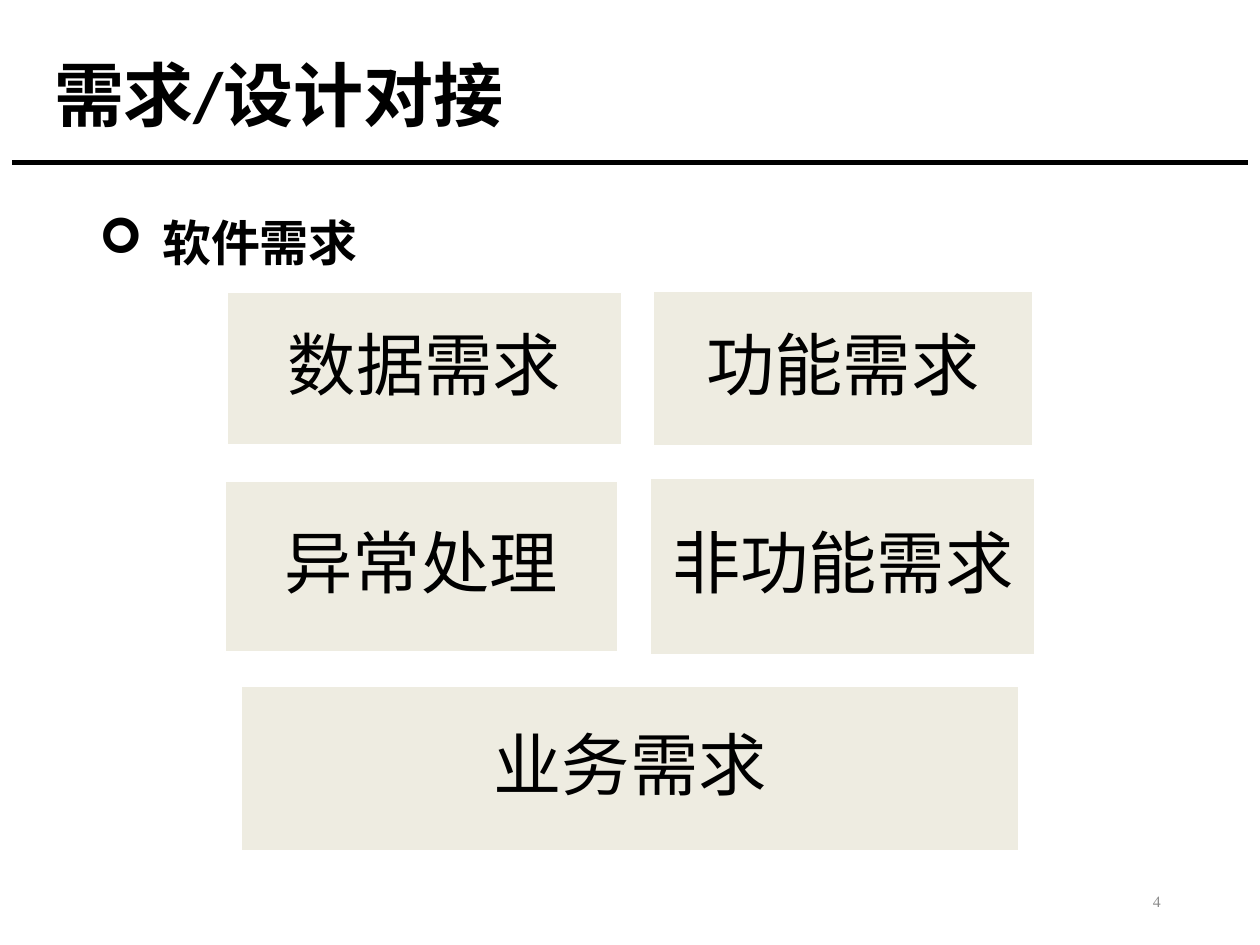
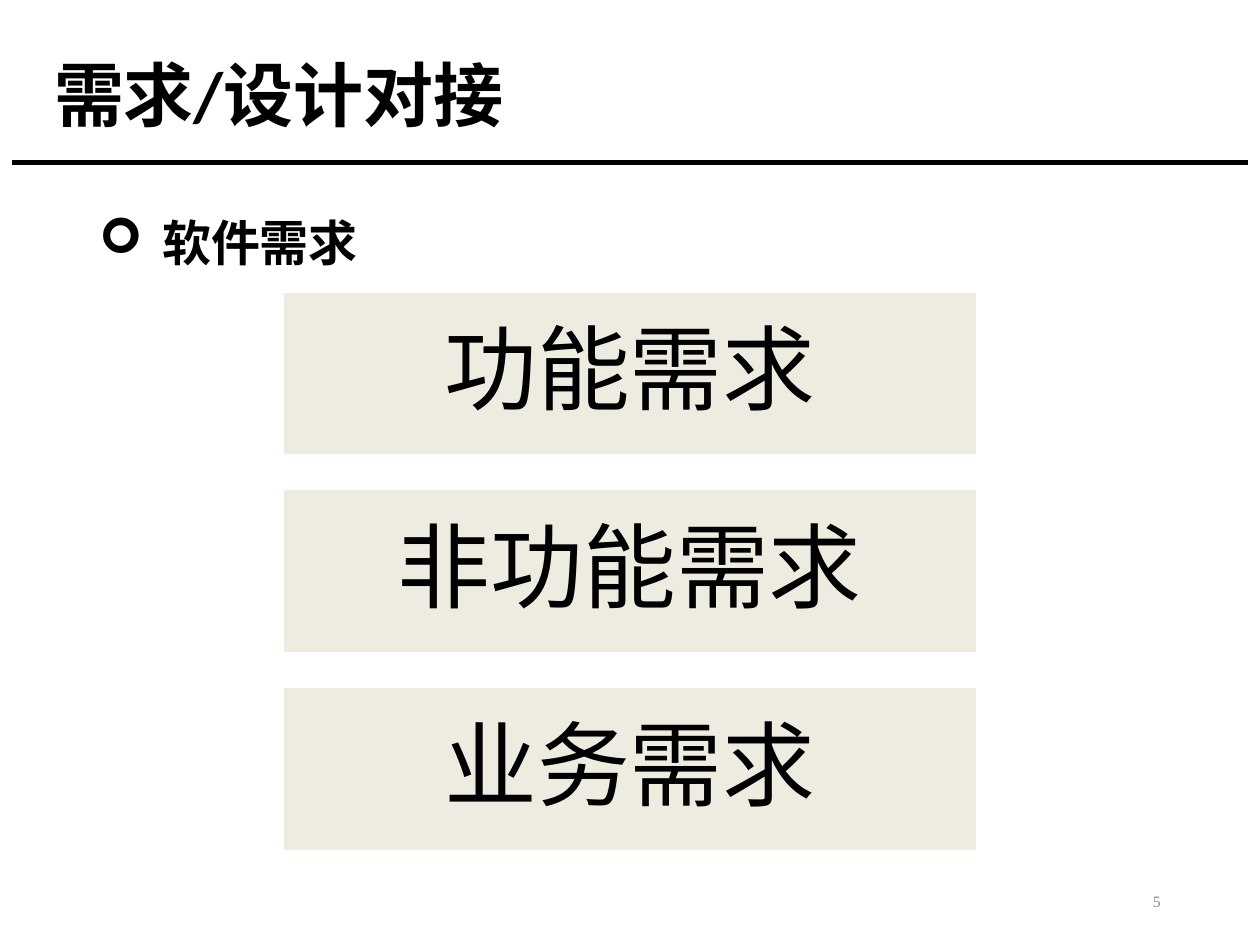
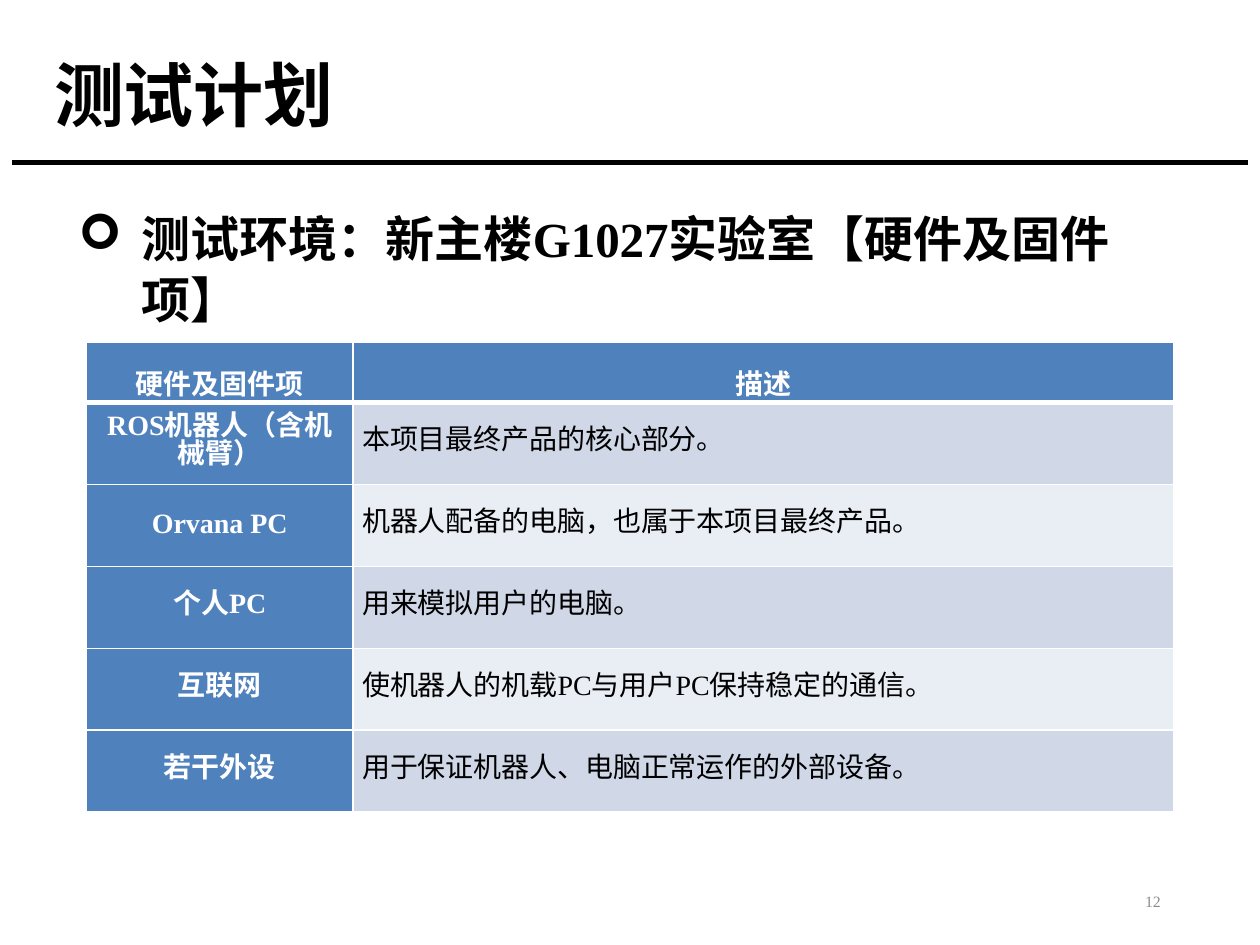
"""Builds three slides on software requirements and the test plan."""
import pptx
import pptx.dml.color
import pptx.enum.shapes
import pptx.enum.text
import pptx.oxml
import pptx.oxml.ns
import pptx.util
from pptx.util import Cm, Pt

ALIGN = pptx.enum.text.PP_ALIGN
MIDDLE = pptx.enum.text.MSO_ANCHOR.MIDDLE

BLACK, WHITE, GREY = "000000", "FFFFFF", "8C8C8C"
BOX_FILL, TABLE_BLUE = "EEECE1", "4F81BD"
BAND_FILLS = ("D0D8E8", "E9EDF4")
SERIF, TITLE_FONT, CHINESE = "Times New Roman", "Calibri", "Noto Sans CJK SC"

TITLE_AREA = (0.84, 0.64, 21.89, 2.69)
NUMBER_AREA = (17.93, 17.65, 5.72, 1.02)
RULE_LEFT, RULE_RIGHT, RULE_TOP = 0.25, 25.15, 3.28

STACK_LEFT, STACK_TOP, STACK_WIDTH, STACK_HEIGHT, STACK_PITCH = 5.7, 5.88, 14, 3.3, 3.99
STACK_LABELS = ["功能需求", "非功能需求", "业务需求"]

REQUIREMENT_SLIDES = [
    {
        "number": 4, "size": 39, "inset": 0.41,
        "boxes": [
            ("数据需求", (4.58, 5.9, 7.95, 3.07)),
            ("功能需求", (13.16, 5.87, 7.66, 3.13)),
            ("异常处理", (4.53, 9.7, 7.92, 3.45)),
            ("非功能需求", (13.11, 9.64, 7.76, 3.56)),
            ("业务需求", (4.86, 13.84, 15.69, 3.32)),
        ],
    },
    {
        "number": 5, "size": 53, "inset": 0.56,
        "boxes": [
            (label, (STACK_LEFT, STACK_TOP + index * STACK_PITCH, STACK_WIDTH, STACK_HEIGHT))
            for index, label in enumerate(STACK_LABELS)
        ],
    },
]

HARDWARE = [
    ("硬件及固件项", "描述"),
    ("ROS机器人（含机械臂）", "本项目最终产品的核心部分。"),
    ("Orvana PC", "机器人配备的电脑，也属于本项目最终产品。"),
    ("个人PC", "用来模拟用户的电脑。"),
    ("互联网", "使机器人的机载PC与用户PC保持稳定的通信。"),
    ("若干外设", "用于保证机器人、电脑正常运作的外部设备。"),
]
TABLE_LEFT, TABLE_TOP = 1.74, 6.9
COLUMN_WIDTHS = (5.38, 16.54)
HEADER_HEIGHT, ROW_HEIGHT = 1.22, 1.65


def rgb(value):
    return pptx.dml.color.RGBColor.from_string(value)


def lengths(area):
    return [Cm(length) for length in area]


def add_xml(parent, index, markup):
    name, rest = markup.split(" ", 1)
    element = pptx.oxml.parse_xml(f"<a:{name} {pptx.oxml.ns.nsdecls('a')} {rest}")
    parent.insert(index, element)


def write(frame, text, size, font, color=BLACK, bold=False, align=ALIGN.LEFT, spacing=None):
    frame.word_wrap = True
    paragraph = frame.paragraphs[0]
    paragraph.text = text
    paragraph.alignment = align
    paragraph.line_spacing = spacing
    paragraph.font.size = Pt(size)
    paragraph.font.name = font
    paragraph.font.bold = bold
    paragraph.font.color.rgb = rgb(color)
    defaults = paragraph._p.pPr.find(pptx.oxml.ns.qn("a:defRPr"))
    add_xml(defaults, len(defaults), f'ea typeface="{CHINESE}"/>')
    return paragraph


def add_text(slide, area, *style, anchor=MIDDLE, **options):
    frame = slide.shapes.add_textbox(*lengths(area)).text_frame
    frame.vertical_anchor = anchor
    return write(frame, *style, **options)


def add_bullet(slide, area, text):
    paragraph = add_text(slide, area, text, 28, SERIF, bold=True, spacing=Pt(35),
                         anchor=pptx.enum.text.MSO_ANCHOR.TOP)
    paragraph.space_before = Pt(7.5)
    properties = paragraph._p.pPr
    properties.set("marL", str(Cm(1.27)))
    properties.set("indent", str(-Cm(1.27)))
    for markup in ('buFont typeface="Wingdings" charset="2"/>', 'buChar char="➢"/>'):
        add_xml(properties, len(properties) - 1, markup)


def add_page(presentation, title, number):
    slide = presentation.slides.add_slide(presentation.slide_layouts[6])
    rule = slide.shapes.add_connector(
        pptx.enum.shapes.MSO_CONNECTOR.STRAIGHT,
        *lengths((RULE_LEFT, RULE_TOP, RULE_RIGHT, RULE_TOP)))
    rule.line.color.rgb = rgb(BLACK)
    rule.line.width = Pt(3)
    properties = rule._element.spPr
    add_xml(properties, len(properties), "effectLst />")
    add_text(slide, TITLE_AREA, title, 40, TITLE_FONT, bold=True, spacing=0.9)
    add_text(slide, NUMBER_AREA, str(number), 9, SERIF, color=GREY, align=ALIGN.RIGHT)
    return slide


def add_box(slide, label, area, size, inset):
    box = slide.shapes.add_shape(pptx.enum.shapes.MSO_SHAPE.RECTANGLE, *lengths(area))
    box.shadow.inherit = False
    box.fill.solid()
    box.fill.fore_color.rgb = rgb(BOX_FILL)
    box.line.color.rgb = rgb(WHITE)
    box.line.width = Pt(1)
    frame = box.text_frame
    frame.margin_left = frame.margin_right = frame.margin_top = frame.margin_bottom = Cm(inset)
    frame.vertical_anchor = MIDDLE
    write(frame, label, size, CHINESE, align=ALIGN.CENTER, spacing=0.9)


def add_borders(cell, row_index):
    widths = {"lnL": 1, "lnR": 1, "lnT": 3 if row_index == 1 else 1,
              "lnB": 3 if row_index == 0 else 1}
    for index, (side, width) in enumerate(widths.items()):
        add_xml(cell._tc.get_or_add_tcPr(), index,
                f'{side} w="{Pt(width)}"><a:solidFill><a:srgbClr val="{WHITE}"/>'
                f'</a:solidFill></a:{side}>')


def add_hardware_table(slide):
    heights = [HEADER_HEIGHT] + [ROW_HEIGHT] * (len(HARDWARE) - 1)
    table = slide.shapes.add_table(
        len(HARDWARE), len(COLUMN_WIDTHS),
        *lengths((TABLE_LEFT, TABLE_TOP, sum(COLUMN_WIDTHS), sum(heights)))).table
    table.first_col = True
    for column, width in zip(table.columns, COLUMN_WIDTHS):
        column.width = Cm(width)
    for row_index, (texts, height) in enumerate(zip(HARDWARE, heights)):
        table.rows[row_index].height = Cm(height)
        for column_index, text in enumerate(texts):
            cell = table.cell(row_index, column_index)
            heading = row_index == 0 or column_index == 0
            cell.margin_left = cell.margin_right = Cm(0.18)
            cell.margin_top = cell.margin_bottom = 0
            cell.vertical_anchor = MIDDLE
            cell.fill.solid()
            cell.fill.fore_color.rgb = rgb(TABLE_BLUE if heading else BAND_FILLS[(row_index - 1) % 2])
            add_borders(cell, row_index)
            write(cell.text_frame, text, 16, SERIF, WHITE if heading else BLACK, heading,
                  ALIGN.CENTER if heading else ALIGN.JUSTIFY,
                  1.5 if row_index == 0 else Pt(16))


def main():
    presentation = pptx.Presentation()
    presentation.slide_width, presentation.slide_height = Cm(25.4), Cm(19.05)
    for content in REQUIREMENT_SLIDES:
        slide = add_page(presentation, "需求/设计对接", content["number"])
        add_bullet(slide, (1.75, 4.11, 21.89, 14.2), "软件需求")
        for label, area in content["boxes"]:
            add_box(slide, label, area, content["size"], content["inset"])
    slide = add_page(presentation, "测试计划", 12)
    add_bullet(slide, (1.33, 4.02, 22.73, 14.4), "测试环境：新主楼G1027实验室【硬件及固件项】")
    add_hardware_table(slide)
    presentation.save("out.pptx")


if __name__ == "__main__":
    main()
